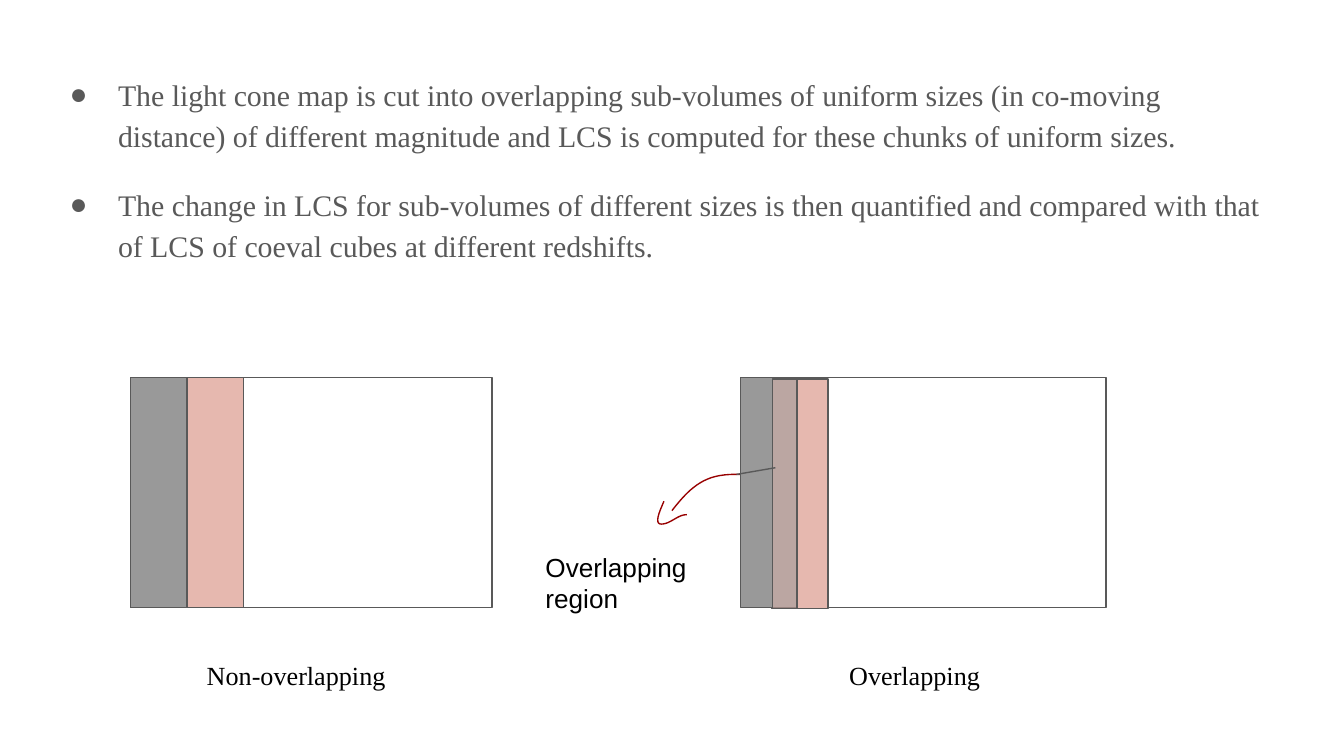
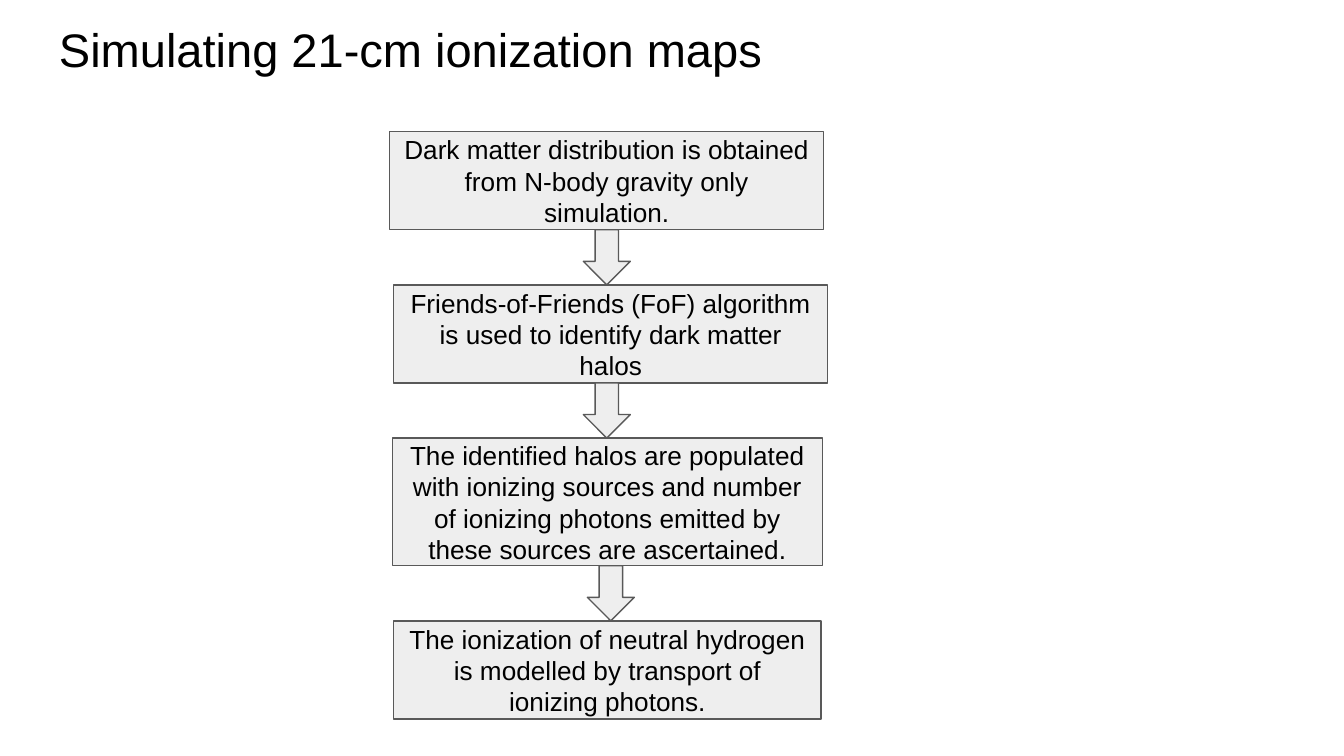
from dataclasses import dataclass

import pptx
import pptx.dml.color
import pptx.enum.shapes
import pptx.enum.text
import pptx.oxml
import pptx.oxml.ns
import pptx.util
from lxml import etree

Inches = pptx.util.Inches
MSO_SHAPE = pptx.enum.shapes.MSO_SHAPE
PP_ALIGN = pptx.enum.text.PP_ALIGN
MSO_ANCHOR = pptx.enum.text.MSO_ANCHOR


@dataclass(frozen=True)
class Theme:
    sans: str = "Arial"
    serif: str = "Times New Roman"
    title_size: float = 25.2
    body_size: float = 16
    label_size: float = 14
    line_width: float = 0.75
    inset: float = 0.1
    ink: str = "000000"
    muted: str = "595959"
    first_chunk: str = "999999"
    second_chunk: str = "E6B8AF"
    pointer: str = "980000"
    step: str = "EEEEEE"


THEME = Theme()


def rgb(color):
    return pptx.dml.color.RGBColor.from_string(color)


def sub_element(parent, tag, **attributes):
    return etree.SubElement(parent, pptx.oxml.ns.qn(tag), **attributes)


def set_line(line, color):
    line.color.rgb = rgb(color)
    line.width = pptx.util.Pt(THEME.line_width)


def add_run(paragraph, text, size, font, color=THEME.ink):
    run = paragraph.add_run()
    run.text = text
    run.font.size = pptx.util.Pt(size)
    run.font.name = font
    run.font.color.rgb = rgb(color)


def prepare_frame(shape, anchor=MSO_ANCHOR.TOP):
    frame = shape.text_frame
    frame.word_wrap = True
    frame.vertical_anchor = anchor
    frame.margin_left = frame.margin_right = Inches(THEME.inset)
    frame.margin_top = frame.margin_bottom = Inches(THEME.inset)
    return frame


def add_text_box(slide, left, top, width, height):
    box = slide.shapes.add_textbox(Inches(left), Inches(top), Inches(width), Inches(height))
    return prepare_frame(box)


def add_label(slide, text, left, top, width, height, font=THEME.serif, size=THEME.label_size):
    frame = add_text_box(slide, left, top, width, height)
    add_run(frame.paragraphs[0], text, size, font)


def add_bullets(slide, items, left, top, width, height):
    frame = add_text_box(slide, left, top, width, height)
    for index, item in enumerate(items):
        paragraph = frame.add_paragraph() if index else frame.paragraphs[0]
        paragraph.line_spacing = 1.15
        if index:
            paragraph.space_before = pptx.util.Pt(15)
        properties = paragraph._p.get_or_add_pPr()
        properties.set("marL", str(Inches(0.5)))
        properties.set("indent", str(Inches(-0.36)))
        bullet_color = sub_element(properties, "a:buClr")
        sub_element(bullet_color, "a:srgbClr", val=THEME.muted)
        sub_element(properties, "a:buFont", typeface=THEME.serif)
        sub_element(properties, "a:buChar", char="●")
        add_run(paragraph, item, THEME.body_size, THEME.serif, THEME.muted)


def add_outlined_shape(slide, kind, left, top, width, height, fill=None, opacity=None):
    shape = slide.shapes.add_shape(kind, Inches(left), Inches(top), Inches(width), Inches(height))
    shape.shadow.inherit = False
    set_line(shape.line, THEME.muted)
    if fill is None:
        shape.fill.background()
        return shape
    shape.fill.solid()
    shape.fill.fore_color.rgb = rgb(fill)
    if opacity is not None:
        color = shape._element.spPr.find(pptx.oxml.ns.qn("a:solidFill"))[0]
        sub_element(color, "a:alpha", val=str(opacity * 1000))
    return shape


def bezier_point(curve, t):
    weights = ((1 - t) ** 3, 3 * t * (1 - t) ** 2, 3 * t * t * (1 - t), t ** 3)
    return tuple(Inches(sum(w * point[axis] for w, point in zip(weights, curve)))
                 for axis in (0, 1))


def add_curve(slide, *curves, steps=16):
    """Draw joined cubic Bezier curves, each given by four points, as one open line."""
    points = [bezier_point(curve, step / steps)
              for curve in curves for step in range(1, steps + 1)]
    builder = slide.shapes.build_freeform(*bezier_point(curves[0], 0))
    builder.add_line_segments(points, close=False)
    shape = builder.convert_to_shape()
    shape.shadow.inherit = False
    shape.fill.background()
    set_line(shape.line, THEME.pointer)


def add_line(slide, start, end):
    connector = slide.shapes.add_connector(
        pptx.enum.shapes.MSO_CONNECTOR.STRAIGHT, *map(Inches, start + end))
    set_line(connector.line, THEME.muted)
    sub_element(connector._element.spPr, "a:effectLst")


def add_step(slide, lines, left, top, width, height):
    shape = add_outlined_shape(slide, MSO_SHAPE.RECTANGLE, left, top, width, height, THEME.step)
    frame = prepare_frame(shape, MSO_ANCHOR.MIDDLE)
    for index, line in enumerate(lines):
        paragraph = frame.add_paragraph() if index else frame.paragraphs[0]
        paragraph.alignment = PP_ALIGN.CENTER
        add_run(paragraph, line, THEME.label_size, THEME.sans)


def build_sub_volumes(slide):
    add_bullets(slide, (
        "The light cone map is cut into overlapping sub-volumes of uniform sizes (in co-moving "
        "distance) of different magnitude and LCS is computed for these chunks of uniform sizes.",
        "The change in LCS for sub-volumes of different sizes is then quantified and compared "
        "with that of LCS of coeval cubes at different redshifts.",
    ), 0.28, 0.43, 9.25, 5.19)

    top, height = 2.81, 1.71
    volume_width, chunk_width = 2.69, 0.42
    rectangle = MSO_SHAPE.RECTANGLE

    separate_left, overlapping_left = 0.97, 5.54
    for left in (separate_left, overlapping_left):
        add_outlined_shape(slide, rectangle, left, top, volume_width, height)
    add_outlined_shape(slide, rectangle, separate_left + chunk_width, top, chunk_width, height,
                       THEME.second_chunk)
    add_outlined_shape(slide, rectangle, separate_left, top, chunk_width, height,
                       THEME.first_chunk)

    add_label(slide, "Non-overlapping", 1.44, 4.81, 1.74, 0.4)
    add_label(slide, "Overlapping", 6.22, 4.81, 1.32, 0.4)
    add_curve(slide,
              ((6, 3.59), (5.79, 3.59), (5.57, 3.5), (5.35, 3.54)),
              ((5.35, 3.54), (5.18, 3.57), (5.08, 3.7), (5, 3.8)))
    add_curve(slide,
              ((4.94, 3.73), (4.92, 3.78), (4.86, 3.9), (4.92, 3.9)),
              ((4.92, 3.9), (4.99, 3.9), (5.04, 3.83), (5.11, 3.83)))
    add_label(slide, "Overlapping region", 3.96, 4, 1.32, 0.34, THEME.sans)

    add_outlined_shape(slide, rectangle, 5.74, top + 0.01, chunk_width, height,
                       THEME.second_chunk)
    add_outlined_shape(slide, rectangle, 5.51, top, chunk_width, height, THEME.first_chunk)
    add_outlined_shape(slide, rectangle, 5.75, top + 0.01, 0.18, height,
                       THEME.second_chunk, opacity=45)
    add_line(slide, (5.77, 3.48), (5.48, 3.53))


def build_simulation_steps(slide):
    add_label(slide, "Simulating 21-cm ionization maps", 0.34, 0.05, 9.32, 0.63,
              THEME.sans, THEME.title_size)
    steps = (
        (2.9, 3.23, 0.73, ("Dark matter distribution is obtained from N-body gravity only",
                           "simulation.")),
        (2.93, 3.23, 0.73, ("Friends-of-Friends (FoF) algorithm is used to identify dark "
                            "matter halos",)),
        (2.92, 3.2, 0.95, ("The identified halos are populated with ionizing sources and "
                           "number of ionizing photons emitted by these sources are "
                           "ascertained.",)),
        (2.93, 3.18, 0.73, ("The ionization of neutral hydrogen is modelled by transport of "
                            "ionizing photons.",)),
    )
    arrow_lefts = (4.34, 4.34, 4.37)
    arrow_width, gap = 0.35, 0.41
    top = 0.98
    for index, (left, width, height, lines) in enumerate(steps):
        add_step(slide, lines, left, top, width, height)
        top += height
        if index < len(arrow_lefts):
            add_outlined_shape(slide, MSO_SHAPE.DOWN_ARROW, arrow_lefts[index], top,
                               arrow_width, gap, THEME.step)
        top += gap


def main():
    presentation = pptx.Presentation()
    presentation.slide_width = Inches(10)
    presentation.slide_height = Inches(10 * 9 / 16)
    blank_layout = presentation.slide_layouts[6]
    for build in (build_sub_volumes, build_simulation_steps):
        build(presentation.slides.add_slide(blank_layout))
    presentation.save("out.pptx")


if __name__ == "__main__":
    main()
